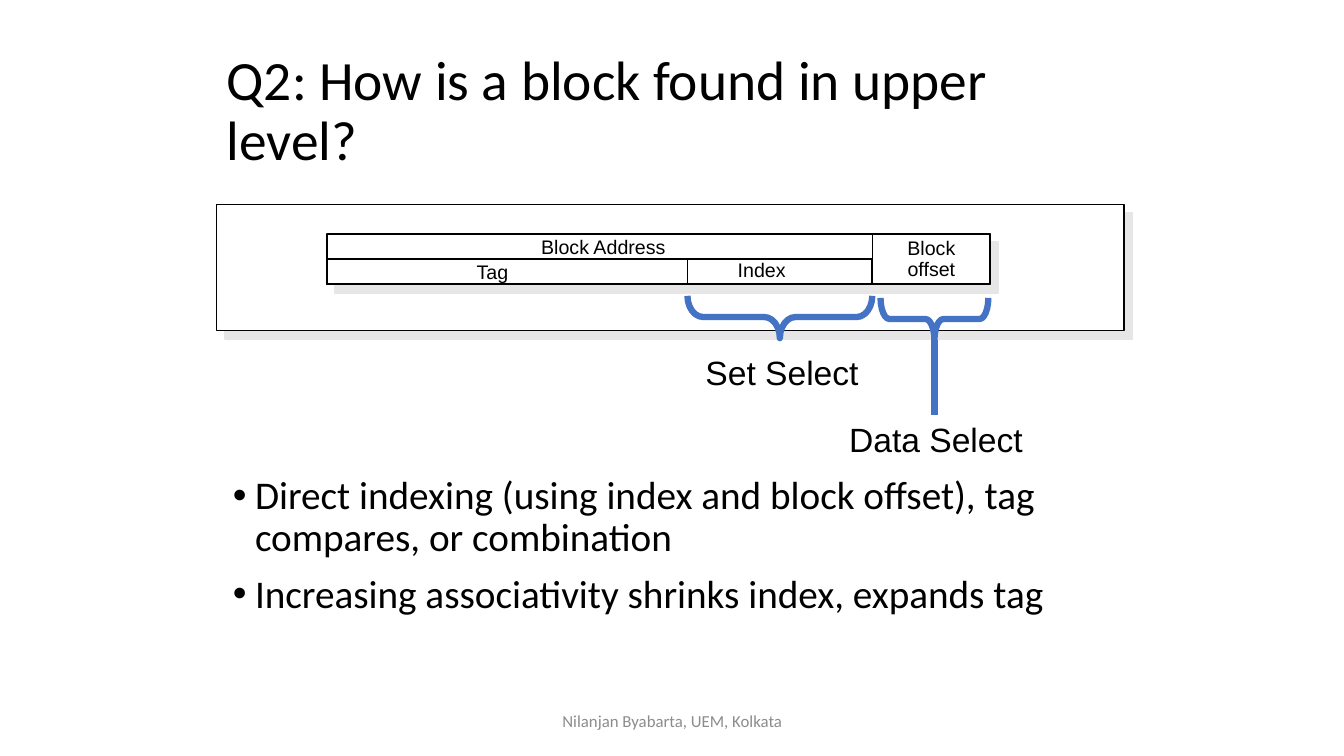
from lxml.etree import SubElement
from pptx import Presentation
from pptx.dml.color import RGBColor
from pptx.enum.shapes import MSO_CONNECTOR, MSO_SHAPE
from pptx.enum.text import MSO_ANCHOR, PP_ALIGN
from pptx.oxml.ns import qn
from pptx.util import Inches, Pt

COLORS = {
    "ink": "000000",
    "paper": "FFFFFF",
    "shade": "E7E6E6",
    "accent": "4472C4",
    "footer": "8C8C8C",
}
COLUMNS, ROWS = 80, 45


def rgb(name):
    return RGBColor.from_string(COLORS[name])


def add_bullet(p):
    """Give a paragraph a round bullet with a hanging indent."""
    pPr = p._p.get_or_add_pPr()
    pPr.set("marL", str(Inches(0.22)))
    pPr.set("indent", str(-Inches(0.22)))
    SubElement(pPr, qn("a:buFont"), typeface="Arial")
    SubElement(pPr, qn("a:buChar"), char="•")


def write(tf, text, font="Arial", size=14, color="ink", align=PP_ALIGN.LEFT,
          spacing=1.0, before=0, bullet=False):
    """Fill a text frame, one paragraph per line of text."""
    for i, line in enumerate(text.split("\n")):
        p = tf.paragraphs[0] if i == 0 else tf.add_paragraph()
        p.alignment = align
        p.line_spacing = spacing
        p.space_before = Pt(before if i else 0)
        if bullet:
            add_bullet(p)
        r = p.add_run()
        r.text = line
        r.font.name = font
        r.font.size = Pt(size)
        r.font.color.rgb = rgb(color)


class Sheet:
    """Draws on one slide; every length is in grid columns and rows."""

    def __init__(self, prs):
        self.s = prs.slides.add_slide(prs.slide_layouts[6])
        self.col = prs.slide_width / COLUMNS
        self.row = prs.slide_height / ROWS

    def grid(self, x, y, w, h):
        return (round(x * self.col), round(y * self.row),
                round(w * self.col), round(h * self.row))

    def text(self, x, y, w, h, text, wrap=True, anchor=MSO_ANCHOR.TOP,
             margins=(0.1, 0.05), **style):
        tf = self.s.shapes.add_textbox(*self.grid(x, y, w, h)).text_frame
        tf.word_wrap = wrap
        tf.vertical_anchor = anchor
        tf.margin_left = tf.margin_right = Inches(margins[0])
        tf.margin_top = tf.margin_bottom = Inches(margins[1])
        write(tf, text, **style)

    def box(self, x, y, w, h, line=1, filled=False):
        """Outlined rectangle; a filled one casts a hard shadow."""
        sp = self.s.shapes.add_shape(MSO_SHAPE.RECTANGLE, *self.grid(x, y, w, h))
        sp.shadow.inherit = False
        sp.line.color.rgb = rgb("ink")
        sp.line.width = Pt(line)
        if not filled:
            sp.fill.background()
            return
        sp.fill.solid()
        sp.fill.fore_color.rgb = rgb("paper")
        effects = sp._element.spPr.find(qn("a:effectLst"))
        shadow = SubElement(effects, qn("a:outerShdw"), dist=str(Pt(8.5)),
                            dir="2700000", algn="ctr", rotWithShape="0")
        SubElement(shadow, qn("a:srgbClr"), val=COLORS["shade"])

    def brace(self, x, y, w, h, curve):
        """Brace pointing down that spans the given area."""
        left, top, width, height = self.grid(x, y, w, h)
        shift = (width - height) // 2
        sp = self.s.shapes.add_shape(MSO_SHAPE.RIGHT_BRACE, left + shift,
                                     top - shift, height, width)
        sp.rotation = 90
        sp.adjustments[0] = curve
        sp.adjustments[1] = 0.5
        sp.shadow.inherit = False
        sp.fill.background()
        sp.line.color.rgb = rgb("accent")
        sp.line.width = Pt(4.5)

    def stem(self, x, top, bottom):
        x1, y1, x2, y2 = self.grid(x, top, x, bottom)
        line = self.s.shapes.add_connector(MSO_CONNECTOR.STRAIGHT, x1, y1, x2, y2)
        line.line.color.rgb = rgb("accent")
        line.line.width = Pt(4.5)
        SubElement(line._element.spPr, qn("a:effectLst"))


def draw_address(sheet):
    """Address fields: block address (tag and index) and block offset."""
    left, top, half = 19.44, 13.92, 1.5
    tag_w, index_w, offset_w = 21.48, 11, 7
    index_x = left + tag_w
    offset_x = index_x + index_w

    sheet.box(12.9, 12.18, 54, 7.5, filled=True)
    sheet.box(left, top, tag_w + index_w + offset_w, 2 * half, 1.5, filled=True)
    sheet.box(left, top + half, tag_w + index_w, half)
    sheet.box(index_x, top + half, index_w, half)
    sheet.box(offset_x, top, offset_w, 2 * half)

    sheet.text(53.4, top, 4.08, 3.12, "Block\noffset", wrap=False,
               align=PP_ALIGN.CENTER, spacing=0.9)
    for x, y, w, label in ((31.62, 13.68, 8.64, "Block Address"),
                           (27.78, 15.18, 3.24, "Tag"),
                           (43.32, 15.06, 4.08, "Index")):
        sheet.text(x, y, w, 1.98, label, wrap=False)

    sheet.brace(index_x, 17.61, index_w, 2.52, 0.37)
    sheet.text(41.4, 20.64, 10.32, 3, "Set Select", wrap=False, size=24)
    sheet.brace(52.41, 17.73, 6.42, 2.52, 0.21)
    sheet.text(49.92, 24.66, 11.58, 3, "Data Select", wrap=False, size=24,
               align=PP_ALIGN.CENTER)
    sheet.stem(55.62, 20.22, 24.72)


def main():
    prs = Presentation()
    prs.slide_width, prs.slide_height = Inches(13.33), Inches(7.5)
    sheet = Sheet(prs)
    sheet.text(12.9, 5.16, 52.98, 3.12, "Q2: How is a block found in upper level?",
               anchor=MSO_ANCHOR.MIDDLE, font="Calibri", size=39.6, spacing=0.9)
    sheet.text(13.44, 28.14, 51.48, 8.82,
               "Direct indexing (using index and block offset), tag compares, "
               "or combination\n"
               "Increasing associativity shrinks index, expands tag",
               margins=(0.07, 0.03), font="Calibri", size=28, spacing=0.9,
               before=10, bullet=True)
    draw_address(sheet)
    sheet.text(26.52, 41.7, 27, 2.4, "Nilanjan Byabarta, UEM, Kolkata",
               anchor=MSO_ANCHOR.MIDDLE, font="Calibri", size=12,
               color="footer", align=PP_ALIGN.CENTER)
    prs.save("out.pptx")


if __name__ == "__main__":
    main()
